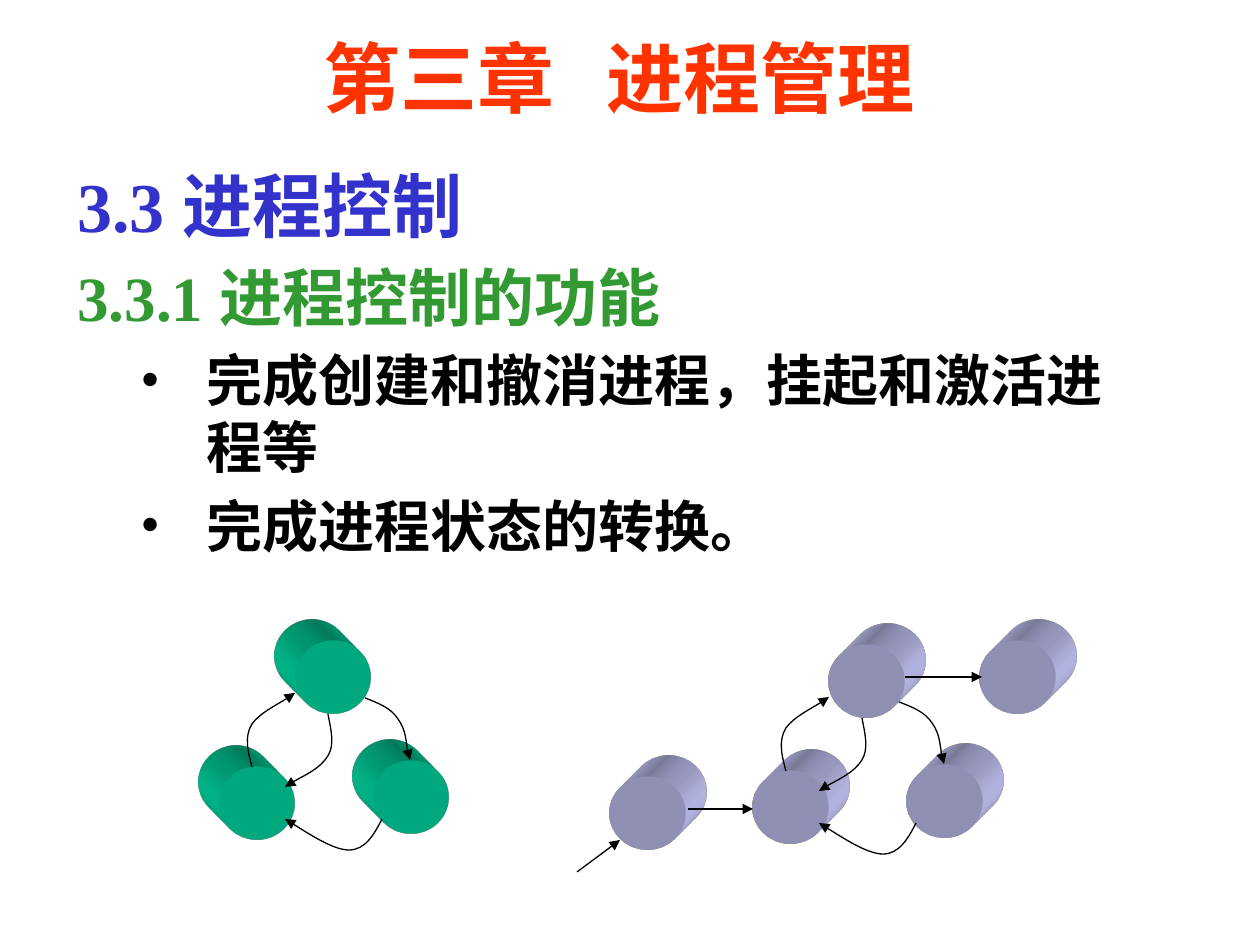
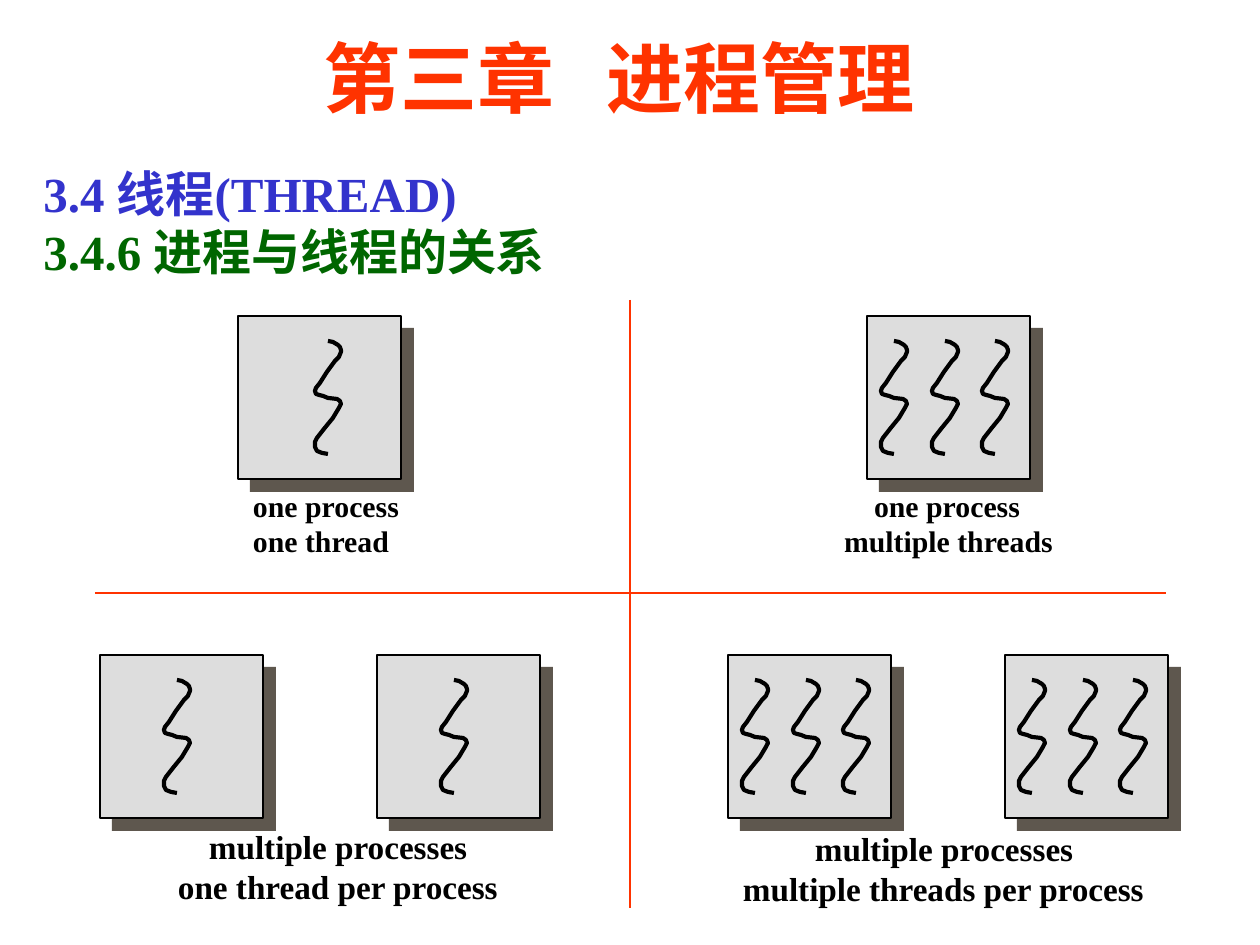
"""Build two slides on process control and the relation of processes to threads."""
from lxml import etree
from pptx import Presentation
from pptx.dml.color import RGBColor
from pptx.enum.shapes import MSO_CONNECTOR, MSO_SHAPE
from pptx.enum.text import MSO_ANCHOR, MSO_AUTO_SIZE, PP_ALIGN
from pptx.oxml import parse_xml
from pptx.oxml.ns import qn
from pptx.util import Pt

PX = 914400 / 126
FONT = "Times New Roman"
RECT, OVAL = MSO_SHAPE.RECTANGLE, MSO_SHAPE.OVAL
STRAIGHT = MSO_CONNECTOR.STRAIGHT
LEFT, CENTER = PP_ALIGN.LEFT, PP_ALIGN.CENTER
TOP, MIDDLE = MSO_ANCHOR.TOP, MSO_ANCHOR.MIDDLE
FIT_SHAPE = MSO_AUTO_SIZE.SHAPE_TO_FIT_TEXT
DRAWING_NS = 'xmlns:a="http://schemas.openxmlformats.org/drawingml/2006/main"'
COLORS = {
    "red": "FF3300",
    "blue": "3333CC",
    "green": "339933",
    "dark_green": "006600",
    "black": "000000",
    "shadow": "5E574E",
    "panel": "DDDDDD",
    "teal": "00CC99",
    "lavender": "CCCCFF",
}


def add_text(slide, box, lines, align=LEFT, anchor=TOP, caption=False):
    """Add a text box with one paragraph for each (text, size, colour)."""
    sp = slide.shapes.add_textbox(*(round(v * PX) for v in box))
    tf = sp.text_frame
    tf.word_wrap = not caption
    tf.vertical_anchor = anchor
    if caption:
        tf.auto_size = FIT_SHAPE
        tf.margin_left = tf.margin_right = tf.margin_top = tf.margin_bottom = 0
    tf.text = "\n".join(text for text, _, _ in lines)
    for p, (_, size, color) in zip(tf.paragraphs, lines):
        p.alignment = align
        for r in p.runs:
            r.font.name = FONT
            r.font.size = Pt(size)
            r.font.bold = True
            r.font.color.rgb = RGBColor.from_string(COLORS[color])
    return tf


def add_line(slide, points, color, width, arrow=False, curved=False):
    """Draw a connector through two points, or an open outline through more."""
    points = [(round(x * PX), round(y * PX)) for x, y in points]
    if len(points) == 2:
        sp = slide.shapes.add_connector(STRAIGHT, *points[0], *points[1])
    else:
        builder = slide.shapes.build_freeform(*points[0])
        builder.add_line_segments(points[1:], close=False)
        sp = builder.convert_to_shape()
        sp.fill.background()
    if curved:
        segments = list(sp._element.iter(qn("a:lnTo")))
        outline = segments[0].getparent()
        for first in range(0, len(segments), 3):
            bezier = etree.SubElement(outline, qn("a:cubicBezTo"))
            for segment in segments[first:first + 3]:
                bezier.append(segment[0])
                outline.remove(segment)
    sp.line.color.rgb = RGBColor.from_string(COLORS[color])
    sp.line.width = Pt(width)
    if arrow:
        ln = sp._element.spPr.find(qn("a:ln"))
        etree.SubElement(ln, qn("a:tailEnd"), type="triangle")
    etree.SubElement(sp._element.spPr, qn("a:effectLst"))


prs = Presentation()
prs.slide_width, prs.slide_height = round(1260 * PX), round(945 * PX)
control, threads = [prs.slides.add_slide(prs.slide_layouts[6]) for _ in range(2)]
for s in (control, threads):
    add_text(s, (147, 9, 945, 136), [("第三章   进程管理", 44, "red")], CENTER, MIDDLE)

tf = add_text(control, (65, 156, 1071, 431), [
    ("3.3 进程控制", 40, "blue"),
    ("3.3.1 进程控制的功能", 36, "green"),
    ("完成创建和撤消进程，挂起和激活进程等", 32, "black"),
    ("完成进程状态的转换。", 32, "black"),
])
for i, p in enumerate(tf.paragraphs):
    p.space_before = Pt(p.runs[0].font.size.pt * 0.2)
    left, hanging = (129, 66) if i >= 2 else (48, 48)
    pPr = p._p.get_or_add_pPr()
    pPr.set("marL", str(round(left * PX)))
    pPr.set("indent", str(round(-hanging * PX)))
    if i >= 2:
        etree.SubElement(pPr, qn("a:buFont"), typeface=FONT)
        etree.SubElement(pPr, qn("a:buChar"), char="•")

TRIANGLE = [(219, 767), (295, 641), (373, 761)]
SHIFT = (534, 4)
shifted = [(x + SHIFT[0], y + SHIFT[1]) for x, y in TRIANGLE]
clusters = [
    (TRIANGLE, "teal", "legacyObliqueTopLeft"),
    (shifted + [(610, 777), (980, 641)], "lavender", "legacyObliqueTopRight"),
]
for corners, color, camera in clusters:
    for x, y in corners:
        sp = control.shapes.add_shape(OVAL, *(round(v * PX) for v in (x, y, 76, 73)))
        sp.shadow.inherit = False
        sp.fill.solid()
        sp.fill.fore_color.rgb = RGBColor.from_string(COLORS[color])
        sp.line.fill.background()
        spPr = sp._element.spPr
        spPr.append(parse_xml(
            f'<a:scene3d {DRAWING_NS}><a:camera prst="{camera}"/>'
            '<a:lightRig rig="legacyFlat3" dir="b"/></a:scene3d>'))
        spPr.append(parse_xml(
            f'<a:sp3d {DRAWING_NS} extrusionH="430200" prstMaterial="legacyMatte">'
            '<a:bevelT w="13500" h="13500" prst="angle"/>'
            '<a:bevelB w="13500" h="13500" prst="angle"/>'
            f'<a:extrusionClr><a:srgbClr val="{COLORS[color]}"/></a:extrusionClr></a:sp3d>'))

transitions = [
    [(252, 767), (248, 752), (244, 737), (252, 724), (260, 713), (288, 699), (295, 693)],
    [(328, 714), (331, 729), (335, 745), (328, 756), (320, 769), (291, 782), (285, 787)],
    [(365, 698), (378, 703), (391, 708), (398, 719), (406, 730), (407, 753), (410, 760)],
    [(382, 819), (374, 835), (365, 850), (349, 850), (333, 850), (295, 825), (285, 819)],
]
for dx, dy in ((0, 0), SHIFT):
    for curve in transitions:
        add_line(control, [(x + dx, y + dy) for x, y in curve], "black", 0.75,
                 arrow=True, curved=True)
for ends in ([(688, 809), (753, 809)], [(577, 872), (620, 840)], [(905, 677), (982, 677)]):
    add_line(control, ends, "black", 0.75, arrow=True)

tf = add_text(threads, (31, 157, 1155, 130),
              [("3.4 线程(THREAD)\v3.4.6 进程与线程的关系", 28, "blue")])
tf.paragraphs[0].runs[1].font.color.rgb = RGBColor.from_string(COLORS["dark_green"])

THREAD = [(13, 0), (18, 1), (23, 4), (25, 6), (26, 9), (26, 11), (24, 16), (20, 20), (12, 31),
          (5, 42), (1, 47), (0, 50), (1, 53), (4, 54), (8, 55), (13, 57), (22, 58), (25, 60),
          (26, 63), (24, 67), (18, 77), (9, 88), (2, 97), (0, 101), (0, 106), (2, 110),
          (7, 112), (13, 113)]
TRIPLE = (14, 65, 115)
processes = [
    (100, 655, (64,)), (377, 655, (64,)),
    (728, 655, TRIPLE), (1005, 655, TRIPLE),
    (238, 316, (77,)), (867, 316, TRIPLE),
]
for x, y, offsets in processes:
    for shift, size, color in ((12, 164, "shadow"), (0, 163, "panel")):
        sp = threads.shapes.add_shape(
            RECT, *(round(v * PX) for v in (x + shift, y + shift, size, size)))
        sp.shadow.inherit = False
        sp.fill.solid()
        sp.fill.fore_color.rgb = RGBColor.from_string(COLORS[color])
        sp.line.fill.background()
    sp.line.color.rgb = RGBColor.from_string(COLORS["black"])
    sp.line.width = Pt(1.25)
    for offset in offsets:
        add_line(threads, [(x + offset + px, y + 25 + py) for px, py in THREAD], "black", 2.38)

captions = [
    (209, 826, 260, 19, "multiple processes"),
    (178, 866, 322, 19, "one thread per process"),
    (815, 828, 260, 19, "multiple processes"),
    (743, 868, 403, 19, "multiple threads per process"),
    (253, 488, 147, 17, "one process"),
    (253, 523, 137, 17, "one thread"),
    (874, 488, 147, 17, "one process"),
    (844, 523, 209, 17, "multiple threads"),
]
for x, y, width, size, text in captions:
    add_text(threads, (x, y, width, 2 * size + 2), [(text, size, "black")], caption=True)

for ends in ([(95, 593), (1166, 593)], [(630, 300), (630, 908)]):
    add_line(threads, ends, "red", 1)

prs.save("out.pptx")
